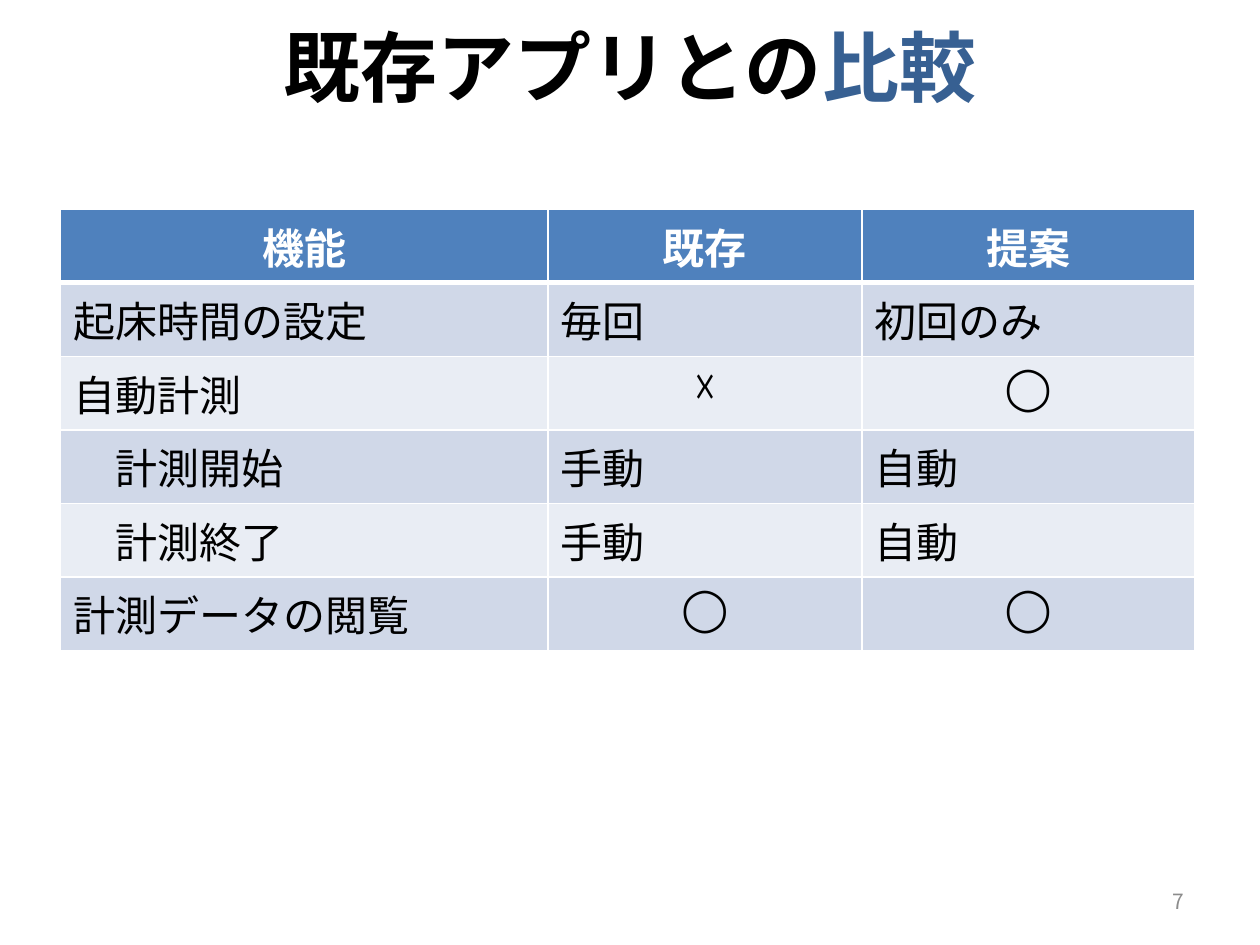
from lxml.etree import SubElement
from pptx import Presentation
from pptx.dml.color import RGBColor
from pptx.enum.lang import MSO_LANGUAGE_ID
from pptx.enum.text import MSO_ANCHOR, PP_ALIGN
from pptx.oxml.ns import qn
from pptx.util import Inches, Pt

COLORS = {"black": "000000", "white": "FFFFFF", "title_blue": "376092",
          "header": "4F81BD", "odd": "D0D8E8", "even": "E9EDF4", "gray": "8C8C8C"}
CJK = "Noto Sans CJK JP"


def add_text(p, text, size=24, font="Calibri", color="black", bold=False, align=PP_ALIGN.LEFT):
    p.alignment = align
    r = p.add_run()
    r.text = text
    r.font.size = Pt(size)
    r.font.bold = bold
    r.font.color.rgb = RGBColor.from_string(COLORS[color])
    r.font.name = font
    r.font.language_id = MSO_LANGUAGE_ID.JAPANESE
    if font == CJK:
        SubElement(r.font._element, qn("a:ea"), typeface=font)


def set_cell(cell, fill, bottom):
    """Fill a cell and give it white borders; bottom is that border's width in points."""
    tcPr = cell._tc.get_or_add_tcPr()
    for side, width in (("L", 1), ("R", 1), ("T", 1), ("B", bottom)):
        ln = SubElement(tcPr, qn(f"a:ln{side}"), w=str(Pt(width)))
        SubElement(SubElement(ln, qn("a:solidFill")), qn("a:srgbClr"), val=COLORS["white"])
    cell.fill.solid()
    cell.fill.fore_color.rgb = RGBColor.from_string(COLORS[fill])


prs = Presentation()
prs.slide_width, prs.slide_height = Inches(10), Inches(7.5)
slide = prs.slides.add_slide(prs.slide_layouts[5])

# Title
title = slide.shapes.title
title.left, title.top, title.width, title.height = map(Inches, (0.5, -0.1, 9, 1.25))
title.text_frame.vertical_anchor = MSO_ANCHOR.MIDDLE
p = title.text_frame.paragraphs[0]
for text, color in (("既存アプリとの", "black"), ("比較", "title_blue")):
    add_text(p, text, size=44, font=CJK, color=color, bold=True, align=PP_ALIGN.CENTER)

# Comparison table
ROWS = [
    ("機能", "既存", "提案"),
    ("起床時間の設定", "毎回", "初回のみ"),
    ("自動計測", "☓", "◯"),
    ("計測開始", "手動", "自動"),
    ("計測終了", "手動", "自動"),
    ("計測データの閲覧", "◯", "◯"),
]
SUB_ITEMS = ("計測開始", "計測終了")
frame = slide.shapes.add_table(len(ROWS), 3, Inches(0.48), Inches(1.66), Inches(9), Inches(3))
table = frame.table
for column, width in zip(table.columns, (3.87, 2.49, 2.64)):
    column.width = Inches(width)
for i, row in enumerate(ROWS):
    table.rows[i].height = Inches(0.41)
    header = i == 0
    fill = "header" if header else "odd" if i % 2 else "even"
    for j, text in enumerate(row):
        cell = table.cell(i, j)
        set_cell(cell, fill, bottom=3 if header else 1)
        if text in SUB_ITEMS:
            cell.margin_left = Inches(0.1) + Pt(24)
        centred = header or text in "☓◯"
        add_text(cell.text_frame.paragraphs[0], text, bold=header,
                 color="white" if header else "black",
                 align=PP_ALIGN.CENTER if centred else PP_ALIGN.LEFT)
frame.height = Inches(3)

# Page number
sp = slide.shapes.add_textbox(Inches(7.17), Inches(6.95), Inches(2.33), Inches(0.4))
tf = sp.text_frame
tf.word_wrap = True
tf.vertical_anchor = MSO_ANCHOR.MIDDLE
add_text(tf.paragraphs[0], "7", size=12, font=CJK, color="gray", align=PP_ALIGN.RIGHT)

prs.save("out.pptx")
